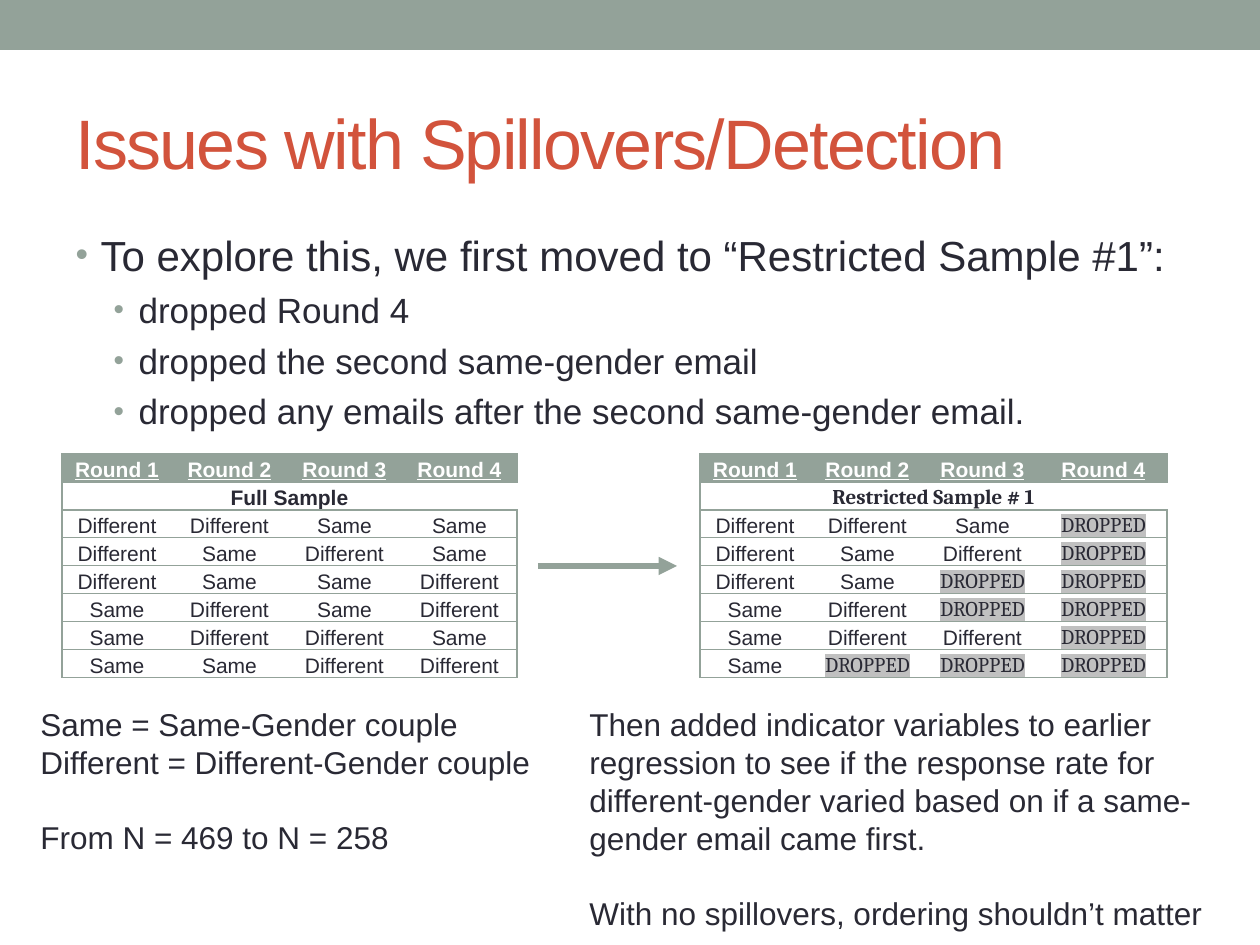
from dataclasses import dataclass

from lxml import etree
from pptx import Presentation
from pptx.dml.color import RGBColor
from pptx.enum.shapes import MSO_CONNECTOR, MSO_SHAPE
from pptx.enum.text import MSO_ANCHOR, MSO_AUTO_SIZE, PP_ALIGN
from pptx.oxml.ns import qn
from pptx.slide import Slide
from pptx.text.text import TextFrame
from pptx.util import Pt

LEFT, CENTER = PP_ALIGN.LEFT, PP_ALIGN.CENTER
MIDDLE, BOTTOM = MSO_ANCHOR.MIDDLE, MSO_ANCHOR.BOTTOM
NO_AUTOFIT = MSO_AUTO_SIZE.NONE
RECTANGLE = MSO_SHAPE.RECTANGLE
STRAIGHT = MSO_CONNECTOR.STRAIGHT
PLAIN_TABLE = "{2D5ABB26-0587-4C30-8999-92F81FD0307C}"
PX_PER_INCH = 126
DROPPED = "DROPPED"


@dataclass(frozen=True)
class Theme:
    accent: str = "93A299"
    heading: str = "D2533C"
    ink: str = "292934"
    white: str = "FFFFFF"
    highlight: str = "C0C0C0"
    sans: str = "Arial"
    serif: str = "Cambria"
    title_size: int = 40
    bullet_sizes: tuple[int, int] = (24, 20)
    note_size: int = 18
    table_size: int = 12


@dataclass(frozen=True)
class Bullet:
    text: str
    level: int = 0


@dataclass(frozen=True)
class SampleTable:
    left: int
    widths: tuple[int, ...]
    caption: str
    caption_font: str
    rows: tuple[str, ...]


@dataclass(frozen=True)
class Note:
    left: int
    width: int
    height: int
    lines: tuple[str, ...]
    gap_before: int


THEME = Theme()
TABLE_TOP, ROW_HEIGHT = 454, 28
NOTE_TOP = 699
ROUNDS = ("Round 1", "Round 2", "Round 3", "Round 4")
WORDS = {"D": "Different", "S": "Same", "x": DROPPED}
BULLETS = (
    Bullet("To explore this, we first moved to “Restricted Sample #1”:"),
    Bullet("dropped Round 4", 1),
    Bullet("dropped the second same-gender email", 1),
    Bullet("dropped any emails after the second same-gender email.", 1),
)
TABLES = (
    SampleTable(62, (110, 115, 115, 115), "Full Sample", THEME.sans,
                ("DDSS", "DSDS", "DSSD", "SDSD", "SDDS", "SSDD")),
    SampleTable(700, (110, 115, 115, 127), "Restricted Sample # 1", THEME.serif,
                ("DDSx", "DSDx", "DSxx", "SDxx", "SDDx", "Sxxx")),
)
NOTES = (
    Note(28, 549, 165, ("Same = Same-Gender couple",
                        "Different = Different-Gender couple",
                        "From N = 469 to N = 258"), 2),
    Note(577, 656, 242, (
        "Then added indicator variables to earlier regression to see if the response rate "
        "for different-gender varied based on if a same-gender email came first.",
        "With no spillovers, ordering shouldn’t matter"), 1),
)


def px(length: int) -> int:
    return round(length * 914400 / PX_PER_INCH)


def place(shape, left: int, top: int, width: int, height: int) -> None:
    shape.left, shape.top = px(left), px(top)
    shape.width, shape.height = px(width), px(height)


def add_element(parent, tag: str, **attributes: str):
    return etree.SubElement(parent, qn(tag), attributes)


def format_text(frame: TextFrame, size: int, color: str = THEME.ink,
                name: str = THEME.sans, bold: bool = False,
                underline: bool = False) -> None:
    for para in frame.paragraphs:
        for span in para.runs:
            font = span.font
            font.size, font.name = Pt(size), name
            font.bold, font.underline = bold, underline
            font.color.rgb = RGBColor.from_string(color)


def draw_title(slide: Slide) -> None:
    title = slide.shapes.title
    place(title, 63, 73, 1134, 136)
    frame = title.text_frame
    frame.text = "Issues with Spillovers/Detection"
    frame.auto_size, frame.vertical_anchor = NO_AUTOFIT, MIDDLE
    para = frame.paragraphs[0]
    para.alignment = LEFT
    format_text(frame, THEME.title_size, THEME.heading)
    para.runs[0].font._element.set("spc", "-100")


def draw_bullets(slide: Slide) -> None:
    body = slide.placeholders[1]
    place(body, 63, 223, 1134, 230)
    frame = body.text_frame
    frame.text = "\n".join(bullet.text for bullet in BULLETS)
    frame.auto_size = NO_AUTOFIT
    format_text(frame, THEME.bullet_sizes[0])
    for index, (para, bullet) in enumerate(zip(frame.paragraphs, BULLETS)):
        para.level = bullet.level
        properties = para._p.get_or_add_pPr()
        properties.set("marL", str(px(25 + 38 * bullet.level)))
        properties.set("indent", str(-px(25)))
        color = add_element(properties, "a:buClr")
        add_element(color, "a:srgbClr", val=THEME.accent)
        add_element(properties, "a:buSzPct", val="85000")
        add_element(properties, "a:buFont", typeface=THEME.sans)
        add_element(properties, "a:buChar", char="•")
        para.space_before = Pt(5 if index else 0)
        para.runs[0].font.size = Pt(THEME.bullet_sizes[bullet.level])


def draw_borders(cell, sides: str) -> None:
    properties = cell._tc.get_or_add_tcPr()
    for side in sides:
        line = add_element(properties, f"a:ln{side}", w=str(Pt(0.75)))
        fill = add_element(line, "a:solidFill")
        add_element(fill, "a:srgbClr", val=THEME.accent)


def highlight_text(span) -> None:
    mark = etree.Element(qn("a:highlight"))
    add_element(mark, "a:srgbClr", val=THEME.highlight)
    span.font._element.find(qn("a:solidFill")).addnext(mark)


def draw_table(slide: Slide, sample: SampleTable) -> None:
    rows = [ROUNDS, (sample.caption, "", "", "")]
    rows += [tuple(WORDS[code] for code in codes) for codes in sample.rows]
    table = slide.shapes.add_table(
        len(rows), len(ROUNDS), px(sample.left), px(TABLE_TOP),
        px(sum(sample.widths)), px(ROW_HEIGHT * len(rows))).table
    table.horz_banding = False
    table._tbl.tblPr.find(qn("a:tableStyleId")).text = PLAIN_TABLE
    for column, width in zip(table.columns, sample.widths):
        column.width = px(width)
    table.cell(1, 0).merge(table.cell(1, len(ROUNDS) - 1))
    for row_index, words in enumerate(rows):
        table.rows[row_index].height = px(ROW_HEIGHT)
        header, caption = row_index == 0, row_index == 1
        for column_index, word in enumerate(words):
            cell = table.cell(row_index, column_index)
            cell.margin_left = cell.margin_right = px(9)
            cell.margin_top = cell.margin_bottom = 0
            cell.vertical_anchor = BOTTOM
            left = "L" if column_index == 0 else ""
            right = "R" if column_index == len(ROUNDS) - 1 else ""
            draw_borders(cell, left + right + "TB")
            if header:
                cell.fill.solid()
                cell.fill.fore_color.rgb = RGBColor.from_string(THEME.accent)
            else:
                cell.fill.background()
            frame = cell.text_frame
            frame.text = word
            frame.paragraphs[0].alignment = CENTER
            name = THEME.serif if word == DROPPED else THEME.sans
            format_text(frame, THEME.table_size, THEME.white if header else THEME.ink,
                        sample.caption_font if caption else name,
                        bold=header or caption, underline=header)
            if word == DROPPED:
                highlight_text(frame.paragraphs[0].runs[0])


def draw_bar(slide: Slide) -> None:
    bar = slide.shapes.add_shape(RECTANGLE, 0, 0, px(1260), px(50))
    bar.shadow.inherit = False
    bar.fill.solid()
    bar.fill.fore_color.rgb = RGBColor.from_string(THEME.accent)
    bar.line.fill.background()


def draw_arrow(slide: Slide) -> None:
    arrow = slide.shapes.add_connector(STRAIGHT, px(538), px(566), px(677), px(566))
    arrow.line.width = Pt(3.5)
    arrow.line.color.rgb = RGBColor.from_string(THEME.accent)
    add_element(arrow.line._get_or_add_ln(), "a:tailEnd", type="triangle")
    add_element(arrow._element.spPr, "a:effectLst")


def draw_note(slide: Slide, note: Note) -> None:
    box = slide.shapes.add_textbox(px(note.left), px(NOTE_TOP), px(note.width), px(note.height))
    frame = box.text_frame
    frame.word_wrap = True
    frame.text = "\n".join(note.lines)
    frame.paragraphs[note.gap_before].space_before = Pt(21.5)
    format_text(frame, THEME.note_size)


def main() -> None:
    deck = Presentation()
    deck.slide_width, deck.slide_height = px(1260), px(945)
    page = deck.slides.add_slide(deck.slide_layouts[1])
    draw_bar(page)
    draw_title(page)
    draw_bullets(page)
    for sample in TABLES:
        draw_table(page, sample)
    draw_arrow(page)
    for note in NOTES:
        draw_note(page, note)
    deck.save("out.pptx")


if __name__ == "__main__":
    main()
